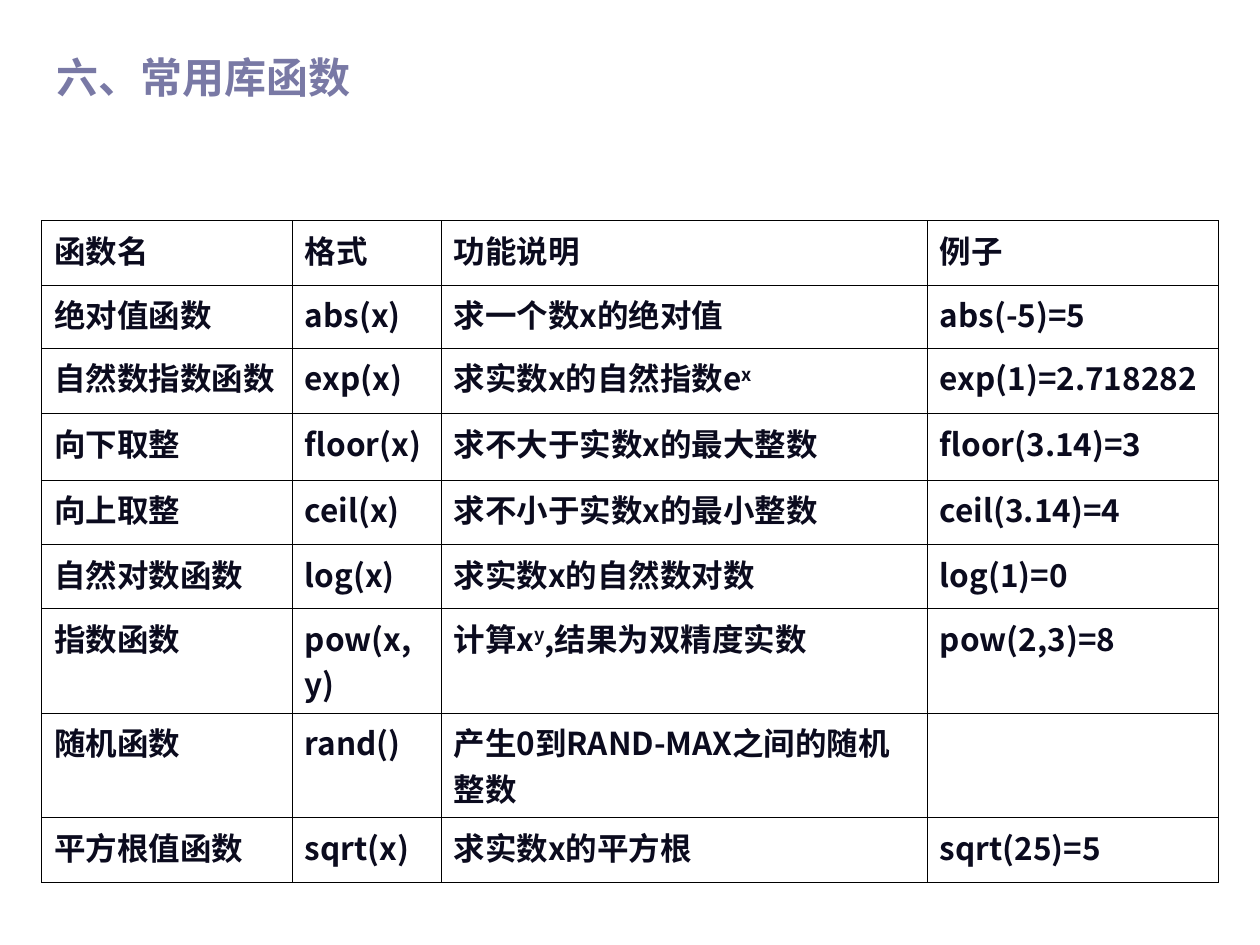
from lxml.etree import SubElement
from pptx import Presentation
from pptx.dml.color import RGBColor
from pptx.enum.lang import MSO_LANGUAGE_ID as Lang
from pptx.enum.text import MSO_ANCHOR as Anchor, MSO_AUTO_SIZE as AutoSize, PP_ALIGN as Align
from pptx.oxml.ns import qn
from pptx.util import Inches, Pt

INK = RGBColor(0x0B, 0x0B, 0x1E)
HEADING = RGBColor(0x79, 0x79, 0xA5)
RULE = RGBColor(0, 0, 0)
FONT = "Noto Sans CJK SC"

# Text between two ^ marks is raised
FUNCTIONS = [
    ("函数名", "格式", "功能说明", "例子"),
    ("绝对值函数", "abs(x)", "求一个数x的绝对值", "abs(-5)=5"),
    ("自然数指数函数", "exp(x)", "求实数x的自然指数e^x^", "exp(1)=2.718282"),
    ("向下取整", "floor(x)", "求不大于实数x的最大整数", "floor(3.14)=3"),
    ("向上取整", "ceil(x)", "求不小于实数x的最小整数", "ceil(3.14)=4"),
    ("自然对数函数", "log(x)", "求实数x的自然数对数", "log(1)=0"),
    ("指数函数", "pow(x,y)", "计算x^y^,结果为双精度实数", "pow(2,3)=8"),
    ("随机函数", "rand()", "产生0到RAND-MAX之间的随机整数", ""),
    ("平方根值函数", "sqrt(x)", "求实数x的平方根", "sqrt(25)=5"),
]
COLUMN_SHARES = [0.199, 0.118, 0.386, 0.231]
# The two tall rows hold two lines of text
ROW_INCHES = [0.51, 0.5, 0.52, 0.53, 0.51, 0.51, 0.83, 0.83, 0.51]


def write(frame, text, size=18, color=INK, bold=True):
    """Fill a text frame with one left-aligned paragraph."""
    paragraph = frame.paragraphs[0]
    paragraph.alignment = Align.LEFT
    paragraph.space_before = Pt(0)
    for index, part in enumerate(text.split("^")):
        if not part:
            continue
        run = paragraph.add_run()
        run.text = part
        font = run.font
        font.size, font.bold, font.name = Pt(size), bold, FONT
        font.color.rgb = color
        font.language_id = Lang.SIMPLIFIED_CHINESE
        SubElement(font._element, qn("a:ea"), typeface=FONT)
        if index % 2:
            font._element.set("baseline", "30000")


class Deck:
    def __init__(self, width=10, height=7.5):
        self.file = Presentation()
        self.file.slide_width = self.width = Inches(width)
        self.file.slide_height = self.height = Inches(height)
        self.slide = self.file.slides.add_slide(self.file.slide_layouts[5])

    def box(self, left, top, width, height):
        """Turn shares of the slide into lengths."""
        return (int(left * self.width), int(top * self.height),
                int(width * self.width), int(height * self.height))

    def title(self, text, *shares):
        heading = self.slide.shapes.title
        heading.left, heading.top, heading.width, heading.height = self.box(*shares)
        frame = heading.text_frame
        frame.word_wrap = True
        frame.auto_size = AutoSize.SHAPE_TO_FIT_TEXT
        frame.vertical_anchor = Anchor.TOP
        write(frame, text, size=24, color=HEADING)

    def border(self, cell, points=0.23):
        properties = cell._tc.get_or_add_tcPr()
        for side in ("lnL", "lnR", "lnT", "lnB"):
            line = SubElement(properties, qn(f"a:{side}"), w=str(Pt(points)))
            fill = SubElement(line, qn("a:solidFill"))
            SubElement(fill, qn("a:srgbClr"), val=str(RULE))

    def table(self, rows, columns, heights, left, top):
        place = self.box(left, top, sum(columns), 0)[:3]
        grid = self.slide.shapes.add_table(
            len(rows), len(columns), *place, Inches(sum(heights))).table
        grid.first_row = grid.horz_banding = False
        for column, share in zip(grid.columns, columns):
            column.width = int(share * self.width)
        for row, height, texts in zip(grid.rows, heights, rows):
            row.height = Inches(height)
            for cell, text in zip(row.cells, texts):
                self.border(cell)
                cell.fill.background()
                write(cell.text_frame, text)


def main():
    deck = Deck()
    # Heading
    deck.title("六、常用库函数", 0.035, 0.048, 0.556, 0.067)
    # Function reference
    deck.table(FUNCTIONS, COLUMN_SHARES, ROW_INCHES, left=0.033, top=0.2333)
    deck.file.save("out.pptx")


if __name__ == "__main__":
    main()
